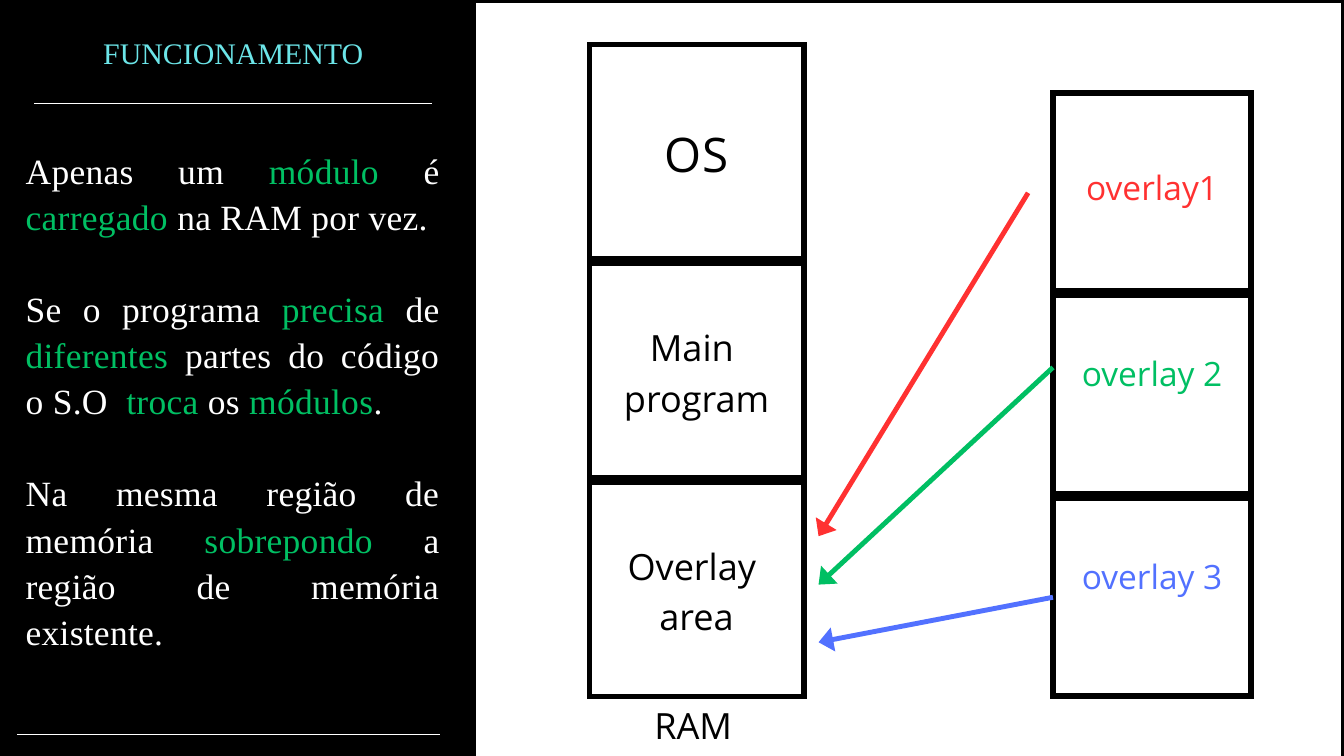
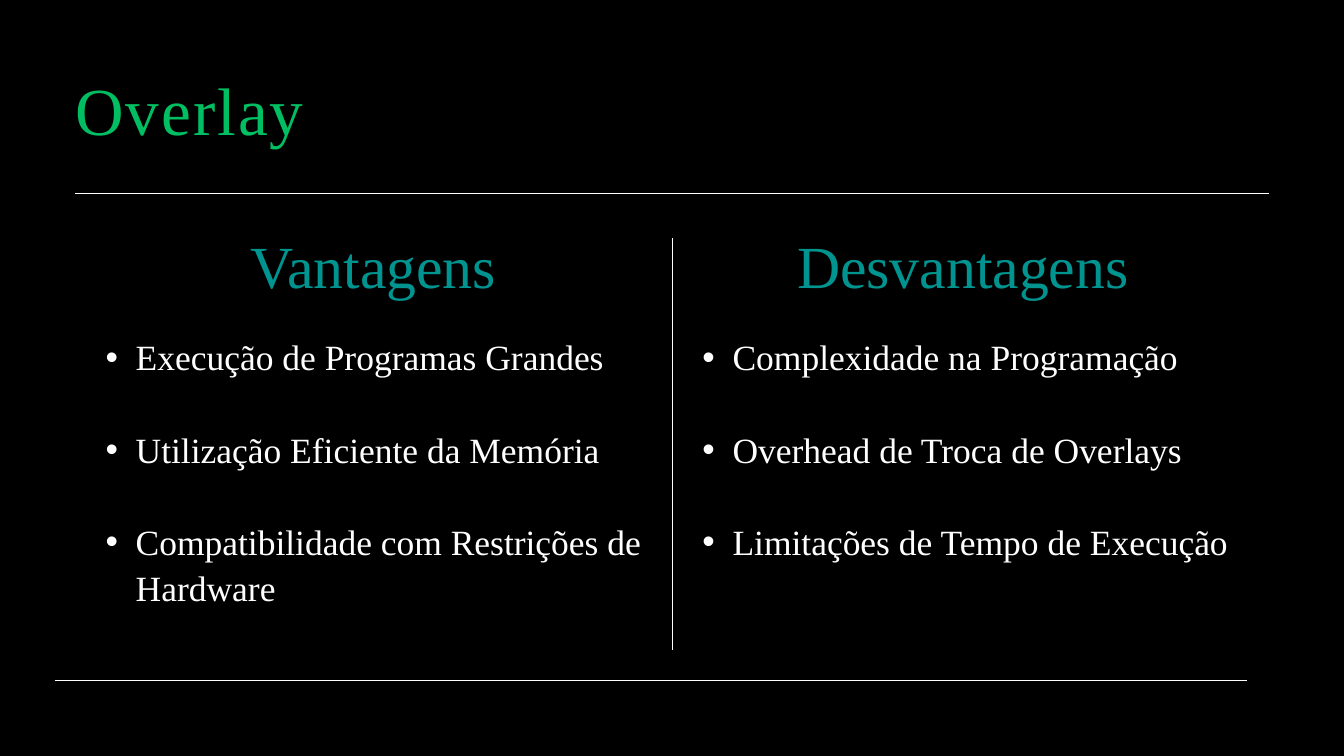
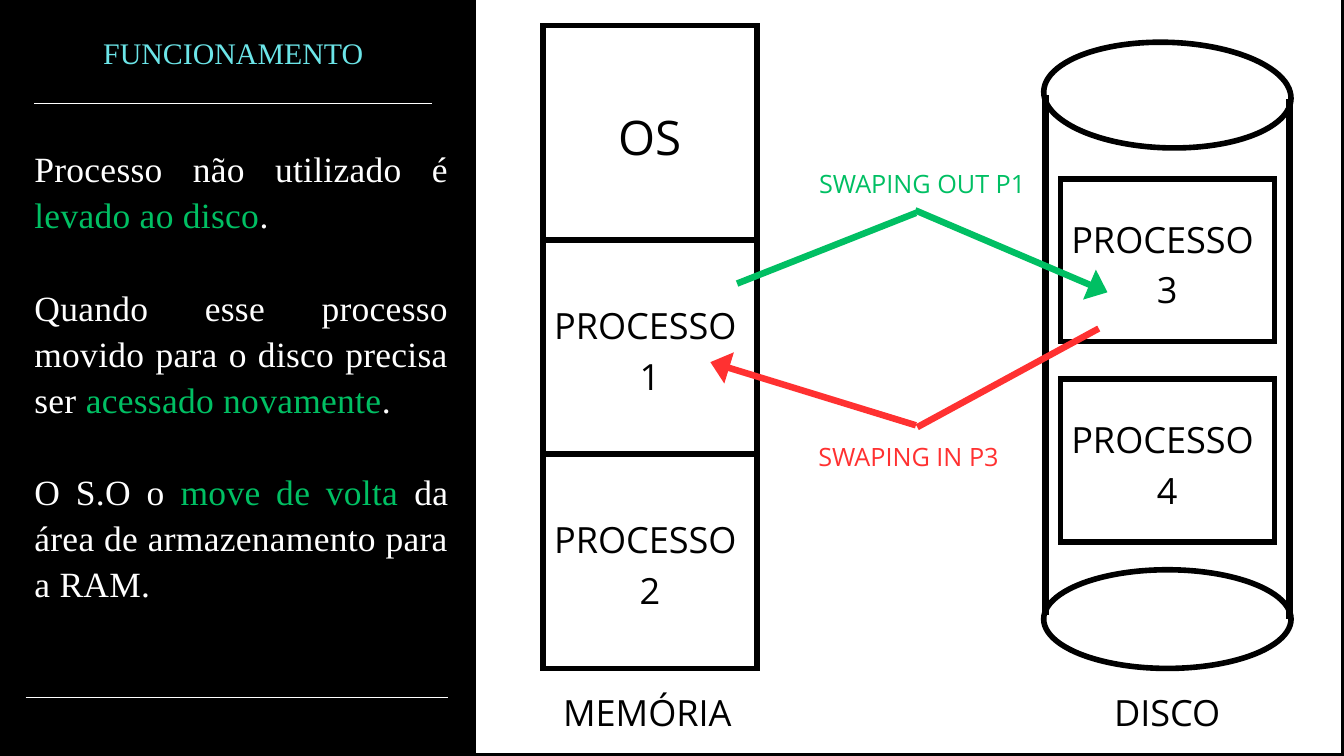
"""Slides on overlays and swapping in memory management."""
from lxml import etree
from pptx import Presentation
from pptx import util as u
from pptx.dml.color import RGBColor
from pptx.enum import shapes as s, text as t
from pptx.oxml.ns import qn

BLACK, WHITE = "000000", "FFFFFF"
GREEN, RED, BLUE = "00BF63", "FF3131", "5271FF"
CYAN, TEAL = "6CE5E8", "009490"
SERIF, SANS = "Times New Roman", "Open Sans"
CENTER, LEFT, JUSTIFY = t.PP_ALIGN.CENTER, t.PP_ALIGN.LEFT, t.PP_ALIGN.JUSTIFY


def color(hex_value):
    """Turn a hex string into a colour."""
    return RGBColor.from_string(hex_value)


def add_bullet(paragraph):
    """Give a paragraph a hanging bullet."""
    paragraph.level = 1
    properties = paragraph._p.get_or_add_pPr()
    properties.set("marL", str(u.Cm(2.29)))
    properties.set("indent", str(-u.Cm(1.14)))
    etree.SubElement(properties, qn("a:buFont"), typeface="Arial")
    etree.SubElement(properties, qn("a:buChar"), char="•")


def write_text(shape, paragraphs, size=38, font=SERIF, ink=WHITE, align=LEFT,
               leading=1.2, tracking=0, gap=0, bullet=False):
    """Fill a shape with paragraphs; parts between asterisks turn green."""
    frame = shape.text_frame
    frame.word_wrap = True
    frame.auto_size = t.MSO_AUTO_SIZE.NONE
    frame.vertical_anchor = t.MSO_ANCHOR.TOP
    frame.margin_left = frame.margin_top = frame.margin_right = frame.margin_bottom = 0
    for index, content in enumerate(paragraphs):
        paragraph = frame.add_paragraph() if index else frame.paragraphs[0]
        if bullet:
            add_bullet(paragraph)
        paragraph.alignment = align
        paragraph.line_spacing = u.Pt(size * leading)
        paragraph.space_before = u.Pt(gap if index else 0)
        for part, piece in enumerate(content.split("*")):
            if not piece:
                continue
            run = paragraph.add_run()
            run.text = piece
            run.font.size = u.Pt(size)
            run.font.name = font
            run.font.color.rgb = color(GREEN if part % 2 else ink)
            if tracking:
                run._r.get_or_add_rPr().set("spc", str(tracking))


def add_text(slide, paragraphs, left, top, width, height, **style):
    """Add a text box."""
    box = slide.shapes.add_textbox(u.Cm(left), u.Cm(top), u.Cm(width), u.Cm(height))
    write_text(box, paragraphs, **style)


def add_label(slide, content, center, top, width, size=38.7, ink=BLACK):
    """Add a centred diagram label whose height follows its lines."""
    lines = content.split("\n")
    height = u.Pt(size * 1.4 * len(lines)).cm
    add_text(slide, lines, center - width / 2, top, width, height,
             size=size, font=SANS, ink=ink, align=CENTER, leading=1.4)


def add_outlined(slide, kind, left, top, width, height, filled=True):
    """Add a black-outlined shape."""
    shape = slide.shapes.add_shape(kind, u.Cm(left), u.Cm(top), u.Cm(width), u.Cm(height))
    shape.shadow.inherit = False
    if filled:
        shape.fill.solid()
        shape.fill.fore_color.rgb = color(WHITE)
    else:
        shape.fill.background()
    shape.line.color.rgb = color(BLACK)
    shape.line.width = u.Pt(6)
    outline = shape._element.spPr.find(qn("a:ln"))
    etree.SubElement(outline, qn("a:miter"), lim="800000")
    return shape


def add_box(slide, *bounds, filled=True):
    """Add an outlined rectangle."""
    add_outlined(slide, s.MSO_SHAPE.RECTANGLE, *bounds, filled=filled)


def add_line(slide, start, end, ink=WHITE, width=0.75, arrow=False):
    """Add a straight line, with an arrowhead at its end if asked."""
    line = slide.shapes.add_connector(
        s.MSO_CONNECTOR.STRAIGHT, *(u.Cm(value) for value in start + end))
    line.line.color.rgb = color(ink)
    line.line.width = u.Pt(width)
    properties = line._element.spPr
    if arrow:
        etree.SubElement(properties.find(qn("a:ln")), qn("a:tailEnd"),
                         type="triangle", w="lg", len="med")
    etree.SubElement(properties, qn("a:effectLst"))


def add_slide(presentation, title, left, top, width, height, **style):
    """Add a black slide with a formatted title."""
    slide = presentation.slides.add_slide(presentation.slide_layouts[5])
    slide.background.fill.solid()
    slide.background.fill.fore_color.rgb = color(BLACK)
    shape = slide.shapes.title
    shape.left, shape.top = u.Cm(left), u.Cm(top)
    shape.width, shape.height = u.Cm(width), u.Cm(height)
    write_text(shape, [title], **style)
    return slide


def add_diagram_slide(presentation, paragraphs, left, top, height, rule, panel_top):
    """Add a slide with notes on the left and a white panel on the right."""
    slide = add_slide(presentation, "FUNCIONAMENTO ", 0.03, 1.32, 17.86, 1.52,
                      size=32, ink=CYAN, align=CENTER)
    add_box(slide, 17.88, panel_top, 32.92, 28.8)
    add_line(slide, (1.3, 3.91), (16.31, 3.91), width=1.5)
    add_line(slide, rule, (rule[0] + 15.98, rule[1]), width=1.25)
    add_text(slide, paragraphs, left, top, 15.65, height,
             align=JUSTIFY, leading=1.3, tracking=30, gap=49.4)
    return slide


def add_overlay_slide(presentation):
    """Show how overlays share one area of RAM."""
    slide = add_diagram_slide(presentation, [
        "Apenas um *módulo* é *carregado* na RAM por vez.",
        "Se o programa *precisa* de *diferentes* partes do código o S.O  *troca* os *módulos*.",
        "Na mesma região de memória *sobrepondo* a região de memória existente.",
    ], 0.97, 5.49, 20.83, (0.66, 27.76), 0)

    for row in range(3):
        add_box(slide, 22.28, 1.68 + row * 8.28, 8.1, 8.1)
    add_label(slide, "OS", 26.33, 4.37, 2.4, size=51)
    add_label(slide, "Main \nprogram", 26.33, 12.04, 5.6)
    add_label(slide, "Overlay \narea", 26.33, 20.29, 5.25)
    add_label(slide, "RAM", 26.2, 26.31, 3.15)

    overlays = [
        ("overlay1", RED, 6.07, (38.86, 7.29), 20.27),
        ("overlay 2", GREEN, 13.11, (39.8, 13.89), 22.1),
        ("overlay 3", BLUE, 20.75, (39.8, 22.58), 24.28),
    ]
    for row, (name, ink, top, start, target) in enumerate(overlays):
        add_box(slide, 39.8, 3.51 + row * 7.66, 7.49, 7.49)
        add_label(slide, name, 43.55, top, 5.35, size=35.9, ink=ink)
        add_line(slide, start, (30.94, target), ink, 5.25, arrow=True)


def add_comparison_slide(presentation):
    """Set the advantages of overlays beside their drawbacks."""
    slide = add_slide(presentation, "Overlay", 2.84, 2.57, 24.69, 3.35,
                      size=72, ink=GREEN, tracking=220)
    columns = [
        (2.84, "Vantagens", ["Execução de Programas Grandes",
                             "Utilização Eficiente da Memória",
                             "Compatibilidade com Restrições de Hardware"]),
        (25.4, "Desvantagens ", ["Complexidade na Programação",
                                 "Overhead de Troca de Overlays",
                                 "Limitações de Tempo de Execução"]),
    ]
    for left, heading, points in columns:
        add_text(slide, [heading], left, 8.64, 22.55, 3.05,
                 size=64, ink=TEAL, align=CENTER)
        add_text(slide, points, left, 12.55, 22.55, 10.64,
                 leading=1.3, gap=49.4, bullet=True)
    add_line(slide, (2.84, 7.32), (47.96, 7.32))
    add_line(slide, (25.43, 24.56), (25.43, 8.99))
    add_line(slide, (2.06, 25.73), (47.14, 25.73))


def add_swapping_slide(presentation):
    """Show processes swapped between memory and disk."""
    slide = add_diagram_slide(presentation, [
        "Processo não utilizado é *levado ao disco*.",
        "Quando esse processo movido para o disco precisa ser *acessado novamente*.",
        "O S.O o* move de volta* da área de armazenamento para a RAM.",
    ], 1.3, 5.44, 19.1, (0.97, 26.37), -0.23)

    for row in range(3):
        add_box(slide, 20.52, 0.97 + row * 8.1, 8.1, 8.1)
    add_label(slide, "OS", 24.57, 3.73, 2.4, size=51)
    for row in (1, 2):
        add_label(slide, f"PROCESSO \n{row}", 24.57, 3.1 + row * 8.1, 7.42)
    add_label(slide, "MEMÓRIA", 24.47, 25.81, 6.75)

    add_outlined(slide, s.MSO_SHAPE.OVAL, 39.45, 21.54, 9.35, 3.73)
    lid = add_outlined(slide, s.MSO_SHAPE.OVAL, 39.45, 1.6, 9.35, 3.99)
    lid.rotation = 1.7
    add_line(slide, (39.52, 23.24), (39.52, 3.58), BLACK, 7)
    add_line(slide, (48.74, 23.39), (48.74, 3.73), BLACK, 7)
    for row in range(2):
        top = 6.76 + row * 7.58
        add_box(slide, 40.08, top, 8.1, 6.15, filled=False)
        add_label(slide, f"PROCESSO \n{row + 3}", 44.12, top + 1.17, 7.42)
    add_label(slide, "DISCO", 44.12, 25.81, 4.2)

    add_line(slide, (27.86, 10.72), (34.62, 8.05), GREEN, 7)
    add_line(slide, (34.59, 7.95), (41.86, 11.05), GREEN, 7, arrow=True)
    add_line(slide, (41.53, 12.42), (34.67, 16.15), RED, 7)
    add_line(slide, (34.62, 16.08), (26.85, 13.69), RED, 7, arrow=True)
    add_label(slide, "SWAPING IN P3", 34.34, 16.48, 7.25, size=27, ink=RED)
    add_label(slide, "SWAPING OUT P1", 34.86, 6.17, 8.15, size=27, ink=GREEN)


def main():
    """Build and save the slides."""
    presentation = Presentation()
    presentation.slide_width = u.Cm(50.8)
    presentation.slide_height = u.Cm(28.58)
    add_overlay_slide(presentation)
    add_comparison_slide(presentation)
    add_swapping_slide(presentation)
    presentation.save("out.pptx")


if __name__ == "__main__":
    main()
